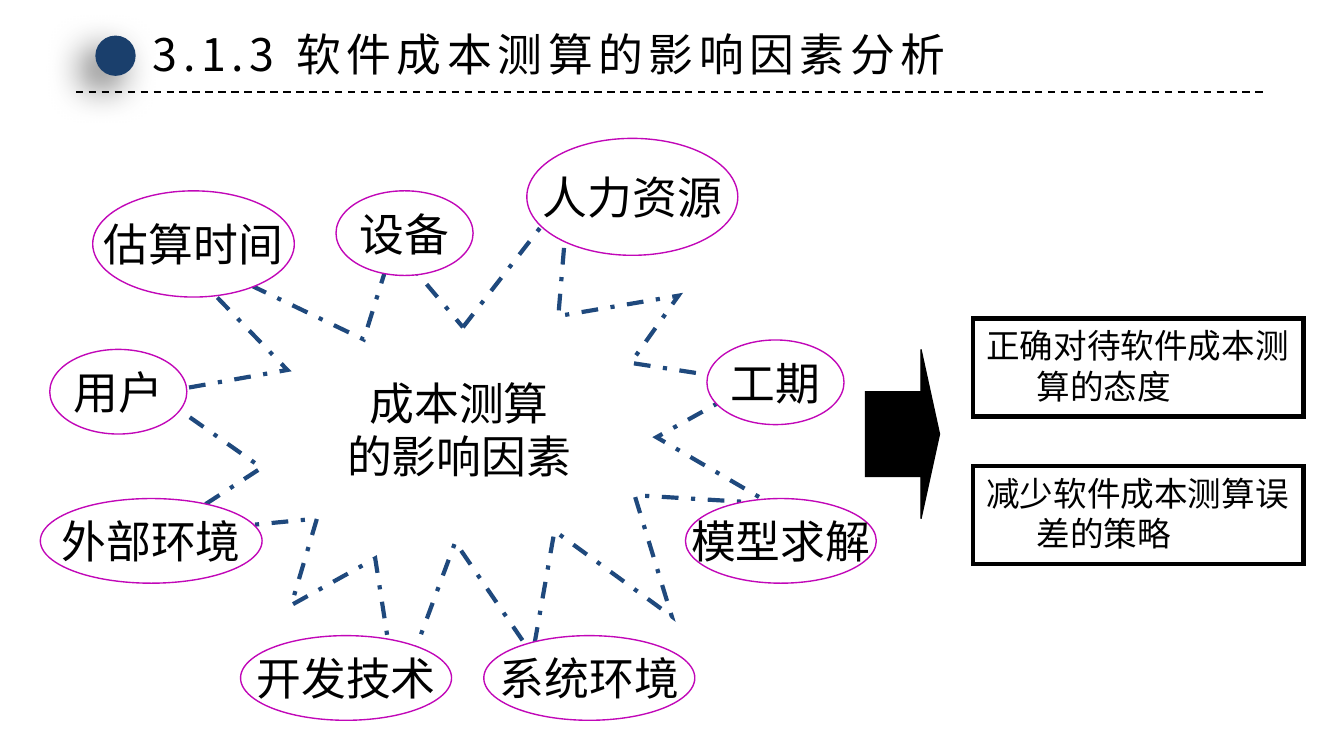
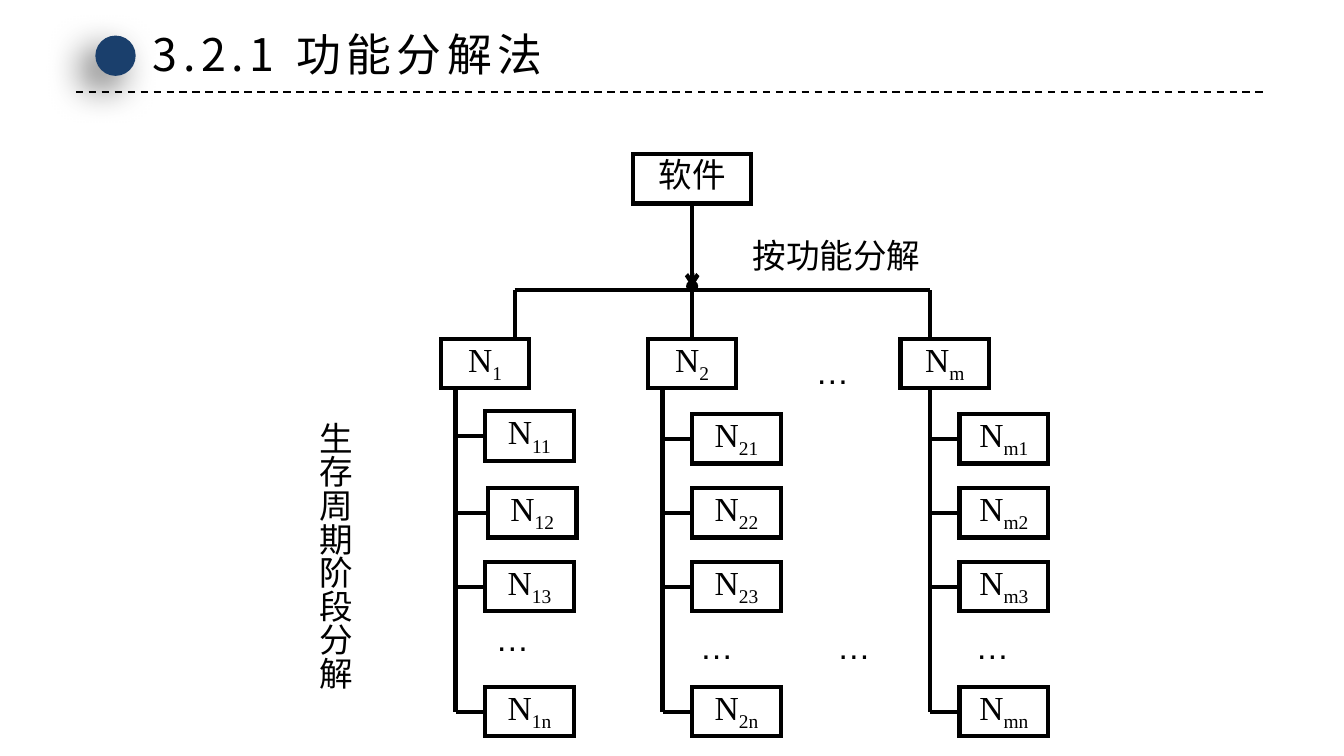
from dataclasses import dataclass
from typing import NamedTuple, Optional

from lxml import etree
from pptx import Presentation
from pptx import util as u
from pptx.dml.color import RGBColor
from pptx.enum import dml, shapes, text
from pptx.oxml.ns import qn

COLS, ROWS = 100, 56.25
CELL = u.Inches(0.1)
KIND = shapes.MSO_SHAPE
DASH = dml.MSO_LINE


@dataclass(frozen=True)
class Theme:
    ink: str = "000000"
    paper: str = "FFFFFF"
    navy: str = "1A3F6C"
    blue: str = "1F497D"
    pink: str = "C107B8"
    sans: str = "Arial"
    serif: str = "Times New Roman"
    cjk: str = "Noto Sans CJK SC"
    big: int = 24
    body: int = 18
    thin: float = 0.75
    rule: float = 1
    bold: float = 2.25
    hang: float = 3.75
    sub: int = -25000


THEME = Theme()


class Area(NamedTuple):
    """A place on the grid, in columns and rows."""
    x: float
    y: float
    w: float
    h: float

    @property
    def mid(self) -> float:
        return self.y + self.h / 2


class Factor(NamedTuple):
    label: str
    area: Area


class Branch(NamedTuple):
    key: str
    x: float
    drop: float
    spine: float


class Label(NamedTuple):
    words: str
    area: Area


FACTORS = (
    Factor("估算时间", Area(6.9, 14.2, 15, 7.9)),
    Factor("设备", Area(25, 14.2, 10.2, 6.3)),
    Factor("人力资源", Area(39.2, 10.3, 15.7, 8.7)),
    Factor("工期", Area(52.6, 25.3, 10.2, 6.3)),
    Factor("模型求解", Area(51, 37.1, 14.2, 6.3)),
    Factor("用户", Area(3.7, 26, 10.2, 6.3)),
    Factor("开发技术", Area(17.9, 47.3, 15.7, 6.3)),
    Factor("外部环境", Area(3, 37.1, 16.5, 6.3)),
    Factor("系统环境", Area(36, 47.3, 15.7, 6.3)),
)
GOALS = ("正确对待软件成本测算的态度", "减少软件成本测算误差的策略")

BOX_W, BOX_H = 6.6, 3.7
BRANCHES = (
    Branch("1", 32.8, 38.3, 33.9),
    Branch("2", 48.2, 51.5, 49.3),
    Branch("m", 67, 69.2, 69.2),
)
LEAVES = {"1": 30.8, "2": 36.3, "3": 41.8, "n": 51.1}
NUDGE = {"11": (0, -0.2), "12": (0.2, 0)}
DOTS = ((35.9, 45.5), (51.1, 46.1), (71.6, 46.1), (59.7, 25.6), (61.3, 46.1))
BAR = 21.6


def grid(*cells: float) -> list:
    return [u.Emu(round(c * CELL)) for c in cells]


def tint(code: str) -> RGBColor:
    return RGBColor.from_string(code)


def form(slide, kind, area: Area, fill: Optional[str] = None,
         line: Optional[str] = None, width: float = THEME.thin):
    """Draw a preset shape without shadow; None means no fill or no line."""
    item = slide.shapes.add_shape(kind, *grid(*area))
    item.shadow.inherit = False
    if fill:
        item.fill.solid()
        item.fill.fore_color.rgb = tint(fill)
    else:
        item.fill.background()
    if line:
        item.line.color.rgb = tint(line)
        item.line.width = u.Pt(width)
        etree.SubElement(item.line._get_or_add_ln(), qn("a:miter"),
                         lim="800000")
    else:
        item.line.fill.background()
    return item


def write(item, words: str, *, size: int = THEME.body, face: str = THEME.sans,
          east: str = THEME.cjk, center: bool = False, middle: bool = False,
          wrap: bool = False, grow: bool = False, hang: float = 0,
          inset: Optional[float] = None, track: int = 0,
          lead: Optional[float] = None, flow: Optional[str] = None):
    """Fill a shape with text; '_' in a line starts a subscript."""
    frame = item.text_frame
    frame.word_wrap = wrap
    frame.vertical_anchor = (text.MSO_ANCHOR.MIDDLE if middle
                             else text.MSO_ANCHOR.TOP)
    frame.auto_size = (text.MSO_AUTO_SIZE.SHAPE_TO_FIT_TEXT if grow
                       else text.MSO_AUTO_SIZE.NONE)
    if inset is not None:
        frame.margin_left = frame.margin_right = u.Pt(inset)
        frame.margin_top = frame.margin_bottom = u.Pt(inset)
    if flow:
        frame._txBody.bodyPr.set("vert", flow)
    for i, row in enumerate(words.split("\n")):
        para = frame.add_paragraph() if i else frame.paragraphs[0]
        para.alignment = text.PP_ALIGN.CENTER if center else text.PP_ALIGN.LEFT
        if lead:
            para.line_spacing = lead
        if hang:
            props = para._p.get_or_add_pPr()
            dent = grid(hang)[0]
            props.set("marL", str(dent))
            props.set("indent", str(-dent))
        for j, part in enumerate(row.split("_")):
            run = para.add_run()
            run.text = part
            font = run.font
            font.size, font.name = u.Pt(size), face
            font.color.rgb = tint(THEME.ink)
            props = run._r.get_or_add_rPr()
            etree.SubElement(props, qn("a:ea"), typeface=east)
            if track:
                props.set("spc", str(track * 100))
            if j:
                props.set("baseline", str(THEME.sub))
    return item


def note(slide, words: str, area: Area, **style):
    return write(slide.shapes.add_textbox(*grid(*area)), words,
                 grow=True, **style)


def wire(slide, x1: float, y1: float, x2: float, y2: float, *,
         width: float = THEME.bold, dash=None, arrow: bool = False,
         start=None, end=None):
    """Draw a line; start and end are (shape, side) joints."""
    link = slide.shapes.add_connector(
        shapes.MSO_CONNECTOR.STRAIGHT, *grid(x1, y1, x2, y2))
    link.line.color.rgb = tint(THEME.ink)
    link.line.width = u.Pt(width)
    if dash:
        link.line.dash_style = dash
    if arrow:
        etree.SubElement(link.line._get_or_add_ln(), qn("a:tailEnd"),
                         type="arrow")
    etree.SubElement(link._element.spPr, qn("a:effectLst"))
    if start:
        link.begin_connect(*start)
    if end:
        link.end_connect(*end)
    return link


def shade(item) -> None:
    """Give a shape a soft shadow to its lower left."""
    cast = etree.SubElement(
        item._element.spPr.find(qn("a:effectLst")), qn("a:outerShdw"),
        blurRad=str(u.Pt(20)), dist=str(u.Pt(10)), dir=str(135 * 60000),
        algn="tr", rotWithShape="0")
    color = etree.SubElement(cast, qn("a:srgbClr"), val=THEME.ink)
    etree.SubElement(color, qn("a:alpha"), val="60000")


def page(deck, title: str, width: float):
    """Add a slide with the shared title band."""
    slide = deck.slides.add_slide(deck.slide_layouts[6])
    wire(slide, 5.64, 6.83, COLS - 5.64, 6.83, width=THEME.rule,
         dash=DASH.DASH)
    shade(form(slide, KIND.OVAL, Area(7.1, 2.65, 3, 3), THEME.navy))
    note(slide, title, Area(10.4, 1.5, width, 5), size=THEME.big,
         face=THEME.cjk, track=3)
    return slide


def causes(deck) -> None:
    slide = page(deck, "3.1.3 软件成本测算的影响因素分析", 62.3)
    style = dict(size=THEME.big, center=True, middle=True, hang=THEME.hang)
    burst = form(slide, KIND.EXPLOSION1, Area(11.6, 14.2, 45.7, 37.8),
                 THEME.paper, THEME.blue, THEME.bold)
    burst.line.dash_style = DASH.DASH_DOT
    write(burst, "成本测算\n的影响因素", **style)
    for label, area in FACTORS:
        write(form(slide, KIND.OVAL, area, THEME.paper, THEME.pink),
              label, **style)
    arrow = form(slide, KIND.RIGHT_ARROW, Area(64.4, 26, 5.5, 12.6),
                 THEME.ink, THEME.ink)
    arrow.adjustments[0], arrow.adjustments[1] = 0.5, 0.25
    for i, goal in enumerate(GOALS):
        box = form(slide, KIND.RECTANGLE, Area(72.4, 23.7 + 11 * i, 24.6, 7.3),
                   line=THEME.ink, width=THEME.bold)
        write(box, goal, wrap=True, grow=True, hang=THEME.hang)


def node(slide, words: str, area: Area):
    box = form(slide, KIND.RECTANGLE, area, line=THEME.ink, width=THEME.bold)
    return write(box, words, face=THEME.serif, center=True, wrap=True, inset=0)


def limb(slide, branch: Branch) -> None:
    """Draw one branch with its drop line, spine and leaves."""
    key, x, drop, spine = branch
    head = Area(x, 25.2, BOX_W, BOX_H)
    top = node(slide, f"N_{key}", head)
    joint = (top, 0) if abs(drop - x - BOX_W / 2) < 0.01 else None
    wire(slide, drop, BAR, drop, head.y, end=joint)
    for tail, y in LEAVES.items():
        dx, dy = NUDGE.get(key + tail, (0, 0))
        area = Area(spine + 2.2 + dx, y + dy, BOX_W, BOX_H)
        leaf = node(slide, f"N_{key}{tail}", area)
        wire(slide, spine, area.mid, area.x, area.mid, end=(leaf, 1))
    wire(slide, spine, head.y + BOX_H, spine, area.mid)


def tree(deck) -> None:
    slide = page(deck, "3.2.1 功能分解法", 32)
    root = node(slide, "软件", Area(47.1, 11.45, 8.8, BOX_H))
    wire(slide, 51.5, 15.15, 51.5, 21.4, arrow=True, start=(root, 2))
    wire(slide, BRANCHES[0].drop, BAR, BRANCHES[-1].drop, BAR)
    for branch in BRANCHES:
        limb(slide, branch)
    form(slide, KIND.OVAL, Area(51.1, 20.9, 0.8, 0.8), THEME.ink, THEME.ink)
    for x, y in DOTS:
        note(slide, "…", Area(x, y, 4.5, 4), east=THEME.sans, hang=THEME.hang)
    side = Label("按功能分解", Area(55, 17, 14.5, 4))
    down = Label("生存周期阶段分解", Area(21.9, 30.4, 5.6, 23.6))
    note(slide, *side, hang=THEME.hang)
    note(slide, *down, hang=THEME.hang, wrap=True, lead=1.2, flow="eaVert")


def main() -> None:
    deck = Presentation()
    deck.slide_width, deck.slide_height = grid(COLS, ROWS)
    causes(deck)
    tree(deck)
    deck.save("out.pptx")


if __name__ == "__main__":
    main()
